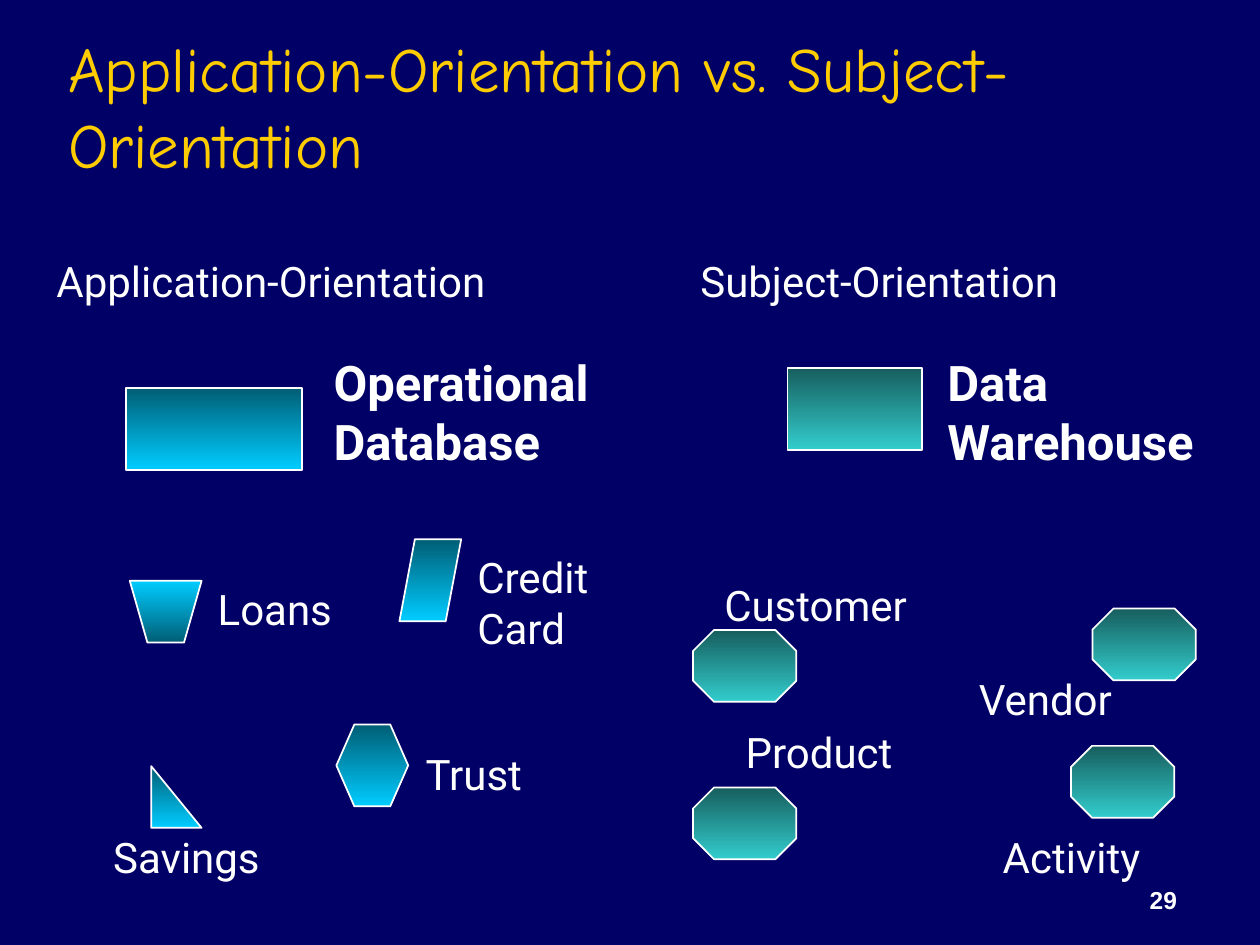
from pptx import Presentation
from pptx.dml.color import RGBColor
from pptx.enum.shapes import MSO_SHAPE as SHAPE
from pptx.enum.text import MSO_ANCHOR as ANCHOR, PP_ALIGN as ALIGN
from pptx.util import Inches, Pt

NAVY, GOLD, WHITE = "000066", "FFCC00", "FFFFFF"
BLUE = ("005E75", "00CCFF")
TEAL = ("175E5E", "33CCCC")

APPLICATION_SHAPES = [
    (SHAPE.RECTANGLE, 1, 3.08, 1.4, 0.65),
    (SHAPE.HEXAGON, 2.67, 5.75, 0.57, 0.65),
    (SHAPE.RIGHT_TRIANGLE, 1.2, 6.08, 0.4, 0.49),
    (SHAPE.PARALLELOGRAM, 3.17, 4.28, 0.49, 0.65),
]
APPLICATION_LABELS = [
    ("Application-Orientation", 0.35, 1.98, 3.86),
    ("Loans", 1.63, 4.58, 1.13),
    ("Credit\nCard", 3.69, 4.33, 1.23),
    ("Trust", 3.28, 5.89, 1.01),
    ("Savings", 0.8, 6.55, 1.39),
]
SUBJECT_OCTAGONS = [(5.5, 5), (8.67, 4.83), (8.5, 5.92), (5.5, 6.25)]
SUBJECT_LABELS = [
    ("Subject-Orientation", 5.46, 1.98, 3.25),
    ("Customer", 5.65, 4.55, 1.73),
    ("Vendor", 7.67, 5.3, 1.34),
    ("Product", 5.82, 5.72, 1.48),
    ("Activity", 7.86, 6.55, 1.32),
]


def rgb(color):
    return RGBColor.from_string(color)


def format_text(tf, size, font, color=WHITE, bold=False, align=ALIGN.LEFT):
    tf.word_wrap = True
    for p in tf.paragraphs:
        p.alignment = align
        for r in p.runs:
            r.font.size = Pt(size)
            r.font.name = font
            r.font.bold = bold
            r.font.color.rgb = rgb(color)


def add_label(shapes, text, x, y, w, size=24, bold=False):
    line_count = text.count("\n") + 1
    height = 0.1 + line_count * size / 60
    tb = shapes.add_textbox(Inches(x), Inches(y), Inches(w), Inches(height))
    tb.text_frame.text = text
    format_text(tb.text_frame, size, "Roboto", bold=bold)


def style_shape(sp, gradient):
    """Vertical two-colour gradient with a thin white outline."""
    sp.shadow.inherit = False
    sp.fill.gradient()
    sp.fill.gradient_angle = 270
    for stop, color, position in zip(sp.fill.gradient_stops, gradient, (0, 1)):
        stop.color.rgb = rgb(color)
        stop.position = position
    sp.line.color.rgb = rgb(WHITE)
    sp.line.width = Pt(1)


def add_shape(shapes, kind, x, y, w, h, gradient):
    sp = shapes.add_shape(kind, Inches(x), Inches(y), Inches(w), Inches(h))
    if kind == SHAPE.HEXAGON:
        sp.adjustments[0] = 0.25
    style_shape(sp, gradient)


def add_loans_trapezoid(shapes):
    """Trapezoid turned upside down, so its gradient runs bright to dark."""
    points = [(1.17, 4.61), (1.46, 4.61), (1.6, 5.1), (1.03, 5.1)]
    corners = [(Inches(x), Inches(y)) for x, y in points]
    builder = shapes.build_freeform(*corners[0])
    builder.add_line_segments(corners[1:], close=True)
    sp = builder.convert_to_shape()
    sp.rotation = 180
    style_shape(sp, BLUE)


def add_title(slide, text):
    title = slide.shapes.title
    title.left, title.top = Inches(0.44), Inches(0.25)
    title.width, title.height = Inches(8.5), Inches(1.17)
    title.text_frame.text = text
    title.text_frame.vertical_anchor = ANCHOR.MIDDLE
    format_text(title.text_frame, 36, "Comic Neue", GOLD)


def add_application_side(slide):
    shapes = slide.shapes.add_group_shape().shapes
    for kind, x, y, w, h in APPLICATION_SHAPES:
        add_shape(shapes, kind, x, y, w, h, BLUE)
    add_loans_trapezoid(shapes)
    add_label(shapes, "Operational Database", 2.55, 2.75, 2.53, 28, True)
    for text, x, y, w in APPLICATION_LABELS:
        add_label(shapes, text, x, y, w)


def add_subject_side(slide):
    shapes = slide.shapes.add_group_shape().shapes
    add_shape(shapes, SHAPE.RECTANGLE, 6.25, 2.92, 1.07, 0.65, TEAL)
    for x, y in SUBJECT_OCTAGONS:
        add_shape(shapes, SHAPE.OCTAGON, x, y, 0.82, 0.57, TEAL)
    add_label(shapes, "Data\nWarehouse", 7.42, 2.75, 2.39, 28, True)
    for text, x, y, w in SUBJECT_LABELS:
        add_label(shapes, text, x, y, w)


def add_page_number(slide, number):
    tb = slide.shapes.add_textbox(Inches(7.36), Inches(6.81), Inches(2.08), Inches(0.5))
    tb.text_frame.text = number
    tb.text_frame.vertical_anchor = ANCHOR.BOTTOM
    format_text(tb.text_frame, 14, "Arial", bold=True, align=ALIGN.RIGHT)


def main():
    prs = Presentation()
    prs.slide_width, prs.slide_height = Inches(10), Inches(7.5)
    slide = prs.slides.add_slide(prs.slide_layouts[5])
    slide.background.fill.solid()
    slide.background.fill.fore_color.rgb = rgb(NAVY)
    add_title(slide, "Application-Orientation vs. Subject-Orientation")
    add_application_side(slide)
    add_subject_side(slide)
    add_page_number(slide, "29")
    prs.save("out.pptx")


if __name__ == "__main__":
    main()
